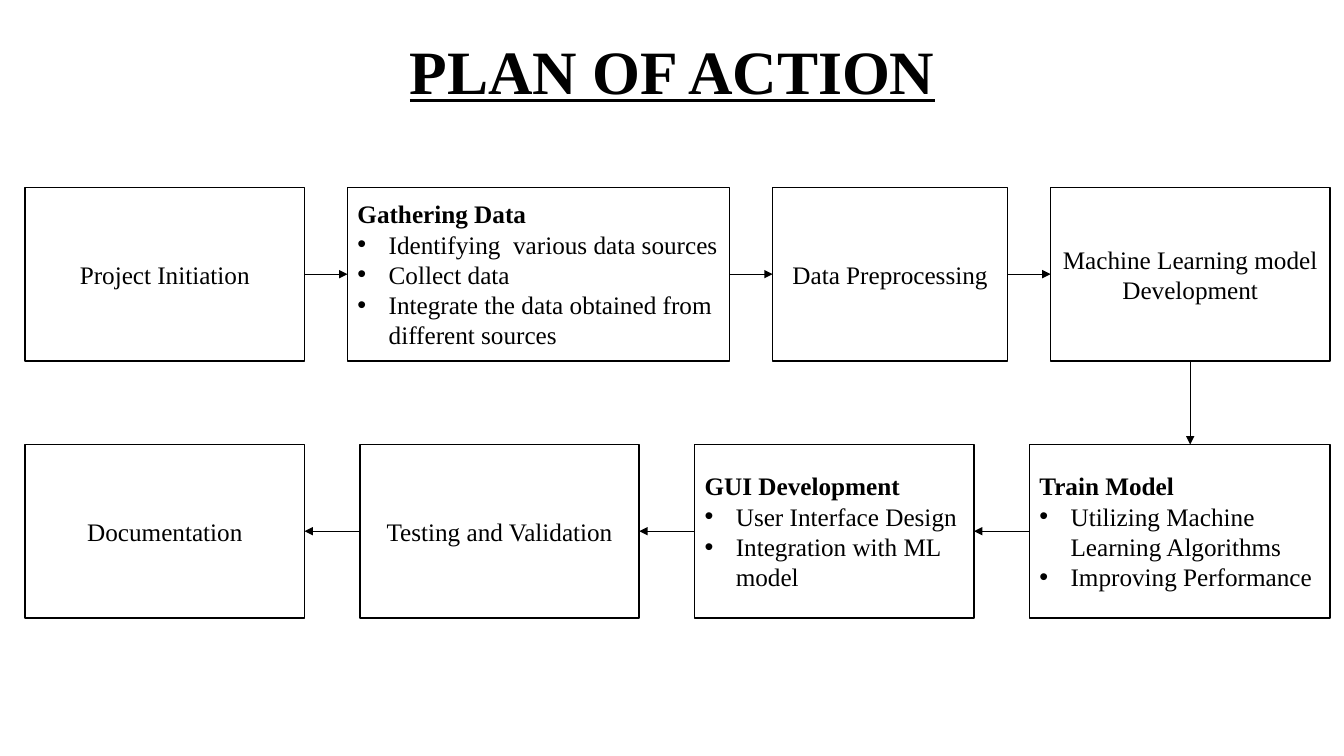
from itertools import pairwise

from lxml import etree
from pptx import Presentation
from pptx.dml.color import RGBColor
from pptx.enum.shapes import MSO_CONNECTOR, MSO_SHAPE
from pptx.enum.text import MSO_ANCHOR, PP_ALIGN
from pptx.oxml.ns import qn
from pptx.util import Pt

RECT = MSO_SHAPE.RECTANGLE
STRAIGHT = MSO_CONNECTOR.STRAIGHT
MIDDLE = MSO_ANCHOR.MIDDLE
LEFT, CENTER = PP_ALIGN.LEFT, PP_ALIGN.CENTER
BOTTOM_SITE, LEFT_SITE, RIGHT_SITE = 2, 1, 3

# Content: (width, heading, bullets) for each step, listed left to right
TITLE = "PLAN OF ACTION"
TOP_STEPS = [
    (277, "Project Initiation", []),
    (379, "Gathering Data", [
        "Identifying  various data sources",
        "Collect data",
        "Integrate the data obtained from different sources",
    ]),
    (233, "Data Preprocessing", []),
    (277, "Machine Learning model Development", []),
]
BOTTOM_STEPS = [
    (277, "Documentation", []),
    (277, "Testing and Validation", []),
    (277, "GUI Development", ["User Interface Design", "Integration with ML model"]),
    (298, "Train Model", ["Utilizing Machine Learning Algorithms", "Improving Performance"]),
]

THEME = {
    "font": "Times New Roman",
    "ink": RGBColor(0, 0, 0),
    "paper": RGBColor(255, 255, 255),
    "title": Pt(44),
    "body": Pt(18),
    "box_line": Pt(1),
    "arrow_line": Pt(0.5),
}

# Layout in px, 100 to the inch
SLIDE_W, SLIDE_H = 1333, 750
ROW_LEFT, ROW_RIGHT = 25, 1319
TOP_Y, BOTTOM_Y, BOX_H = 186, 441, 172
INDENT = 31


def px(n):
    return round(n * 9144)


def style_runs(p, size, bold=False, underline=None):
    for r in p.runs:
        r.font.name = THEME["font"]
        r.font.size = size
        r.font.bold = bold
        r.font.underline = underline
        r.font.color.rgb = THEME["ink"]


def add_bullet(p):
    pPr = p._p.get_or_add_pPr()
    pPr.set("marL", str(px(INDENT)))
    pPr.set("indent", str(-px(INDENT)))
    etree.SubElement(pPr, qn("a:buFont"), typeface="Arial")
    etree.SubElement(pPr, qn("a:buChar"), char="•")


def add_box(x, y, w, heading, bullets):
    sp = slide.shapes.add_shape(RECT, px(x), px(y), px(w), px(BOX_H))
    sp.shadow.inherit = False
    sp.fill.solid()
    sp.fill.fore_color.rgb = THEME["paper"]
    sp.line.color.rgb = THEME["ink"]
    sp.line.width = THEME["box_line"]
    tf = sp.text_frame
    tf.word_wrap = True
    tf.vertical_anchor = MIDDLE
    tf.text = "\n".join([heading, *bullets])
    for i, p in enumerate(tf.paragraphs):
        p.alignment = LEFT if bullets else CENTER
        style_runs(p, THEME["body"], bold=bool(bullets) and i == 0)
        if i:
            add_bullet(p)
    return sp


def add_row(steps, y):
    """Spread the boxes from margin to margin with equal gaps."""
    gap = (ROW_RIGHT - ROW_LEFT - sum(w for w, *_ in steps)) / (len(steps) - 1)
    boxes, x = [], ROW_LEFT
    for w, heading, bullets in steps:
        boxes.append(add_box(x, y, w, heading, bullets))
        x += w + gap
    return boxes


def add_arrow(start, site, end_x, end_y):
    cx = slide.shapes.add_connector(STRAIGHT, 0, 0, end_x, end_y)
    cx.begin_connect(start, site)
    cx.line.color.rgb = THEME["ink"]
    cx.line.width = THEME["arrow_line"]
    etree.SubElement(cx.line._get_or_add_ln(), qn("a:tailEnd"), type="triangle")
    etree.SubElement(cx._element.spPr, qn("a:effectLst"))
    return cx


def join_side(start, end, start_site, end_site):
    cx = add_arrow(start, start_site, end.left, end.top)
    cx.end_connect(end, end_site)


prs = Presentation()
prs.slide_width, prs.slide_height = px(SLIDE_W), px(SLIDE_H)
slide = prs.slides.add_slide(prs.slide_layouts[5])

# Title
title = slide.shapes.title
title.left, title.top, title.width, title.height = px(92), px(1), px(1150), px(145)
tf = title.text_frame
tf.text = TITLE
tf.vertical_anchor = MIDDLE
p = tf.paragraphs[0]
p.alignment = CENTER
p.line_spacing = 0.9
style_runs(p, THEME["title"], bold=True, underline=True)

# Steps
top = add_row(TOP_STEPS, TOP_Y)
bottom = add_row(BOTTOM_STEPS, BOTTOM_Y)

# Arrows: right along the top, down, then left along the bottom
for a, b in pairwise(top):
    join_side(a, b, RIGHT_SITE, LEFT_SITE)
last = top[-1]
add_arrow(last, BOTTOM_SITE, last.left + last.width // 2, px(BOTTOM_Y))
for a, b in pairwise(reversed(bottom)):
    join_side(a, b, LEFT_SITE, RIGHT_SITE)

prs.save("out.pptx")
